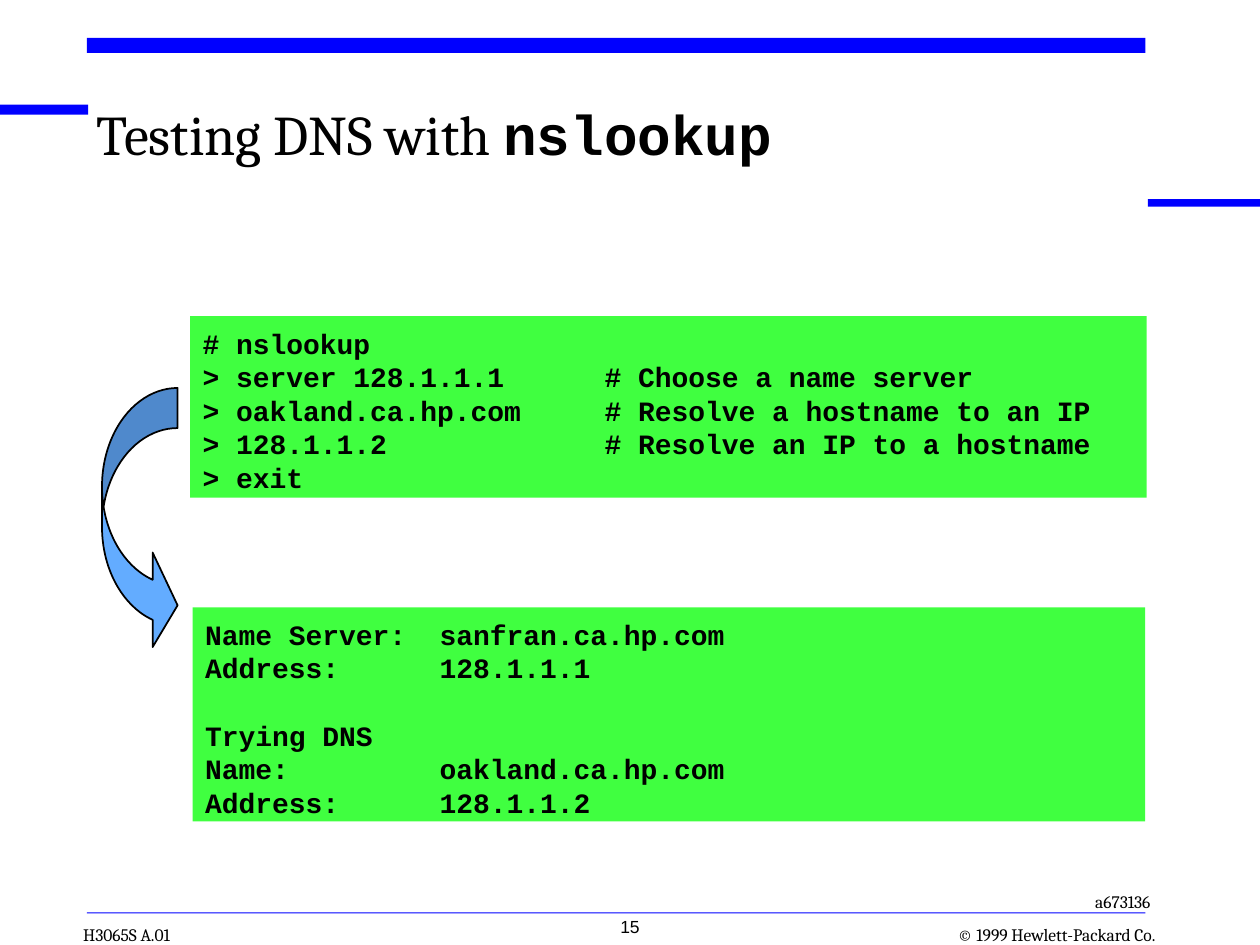
import pptx
import pptx.util
import pptx.dml.color
import pptx.enum.shapes
import pptx.enum.text

Inches, Pt = pptx.util.Inches, pptx.util.Pt
KINDS = pptx.enum.shapes.MSO_SHAPE
ALIGN = pptx.enum.text.PP_ALIGN
ANCHOR = pptx.enum.text.MSO_ANCHOR

BLUE, GREEN, SKY, BLACK = "0000FF", "40FF40", "63ACFF", "000000"
SERIF = {"name": "Cambria", "size": Pt(10)}
SANS = {"name": "Arial", "size": Pt(10)}
HEAD = {"name": "Cambria", "size": Pt(32)}
CODE = {"name": "Courier New", "size": Pt(16), "bold": True}
LINE = Pt(19.2)

BARS = [(0, 0.83, 0.7, 0.08), (0.69, 0.3, 8.4, 0.12),
        (9.11, 1.58, 0.89, 0.06), (0.69, 7.24, 8.4, 0.01)]

TITLE = [("Testing DNS with ", HEAD),
         ("nslookup", {**HEAD, "name": "Courier New", "bold": True})]

# text, place, font, alignment, anchor
NOTES = [
    ("© 1999 Hewlett-Packard Co.", (7.35, 7.33, 1.82, 0.17), SERIF, ALIGN.RIGHT, ANCHOR.BOTTOM),
    ("H3065S A.01", (0.66, 7.33, 0.82, 0.17), SERIF, ALIGN.LEFT, ANCHOR.BOTTOM),
    ("a673136", (8.38, 7.07, 0.75, 0.17), SERIF, ALIGN.RIGHT, ANCHOR.TOP),
    ("15", (3.96, 7.27, 2.08, 0.23), SANS, ALIGN.CENTER, ANCHOR.TOP),
]

# place, width of the first column in characters, groups of lines
PANELS = [
    ((1.53, 4.82, 7.56, 1.7), 14, [
        [("Name Server:", "sanfran.ca.hp.com"), ("Address:", "128.1.1.1")],
        [("Trying DNS", ""), ("Name:", "oakland.ca.hp.com"), ("Address:", "128.1.1.2")],
    ]),
    ((1.51, 2.51, 7.59, 1.44), 24, [
        [("# nslookup", ""),
         ("> server 128.1.1.1", "# Choose a name server"),
         ("> oakland.ca.hp.com", "# Resolve a hostname to an IP"),
         ("> 128.1.1.2", "# Resolve an IP to a hostname"),
         ("> exit", "")],
    ]),
]


def color(code):
    return pptx.dml.color.RGBColor.from_string(code)


def shape(slide, kind, place, fill, line=None):
    item = slide.shapes.add_shape(kind, *map(Inches, place))
    item.shadow.inherit = False
    item.fill.solid()
    item.fill.fore_color.rgb = color(fill)
    if line:
        item.line.color.rgb = color(line)
        item.line.width = Pt(1)
    else:
        item.line.fill.background()
    return item


def frame(item, pads=(0, 0), wrap=True, anchor=ANCHOR.TOP):
    """Set insets (side, top), wrapping and anchor; return the text frame."""
    side, top = map(Inches, pads)
    body = item.text_frame
    for key, value in {"margin_left": side, "margin_right": side, "margin_top": top,
                       "margin_bottom": 0, "word_wrap": wrap,
                       "vertical_anchor": anchor}.items():
        setattr(body, key, value)
    return body


def write(para, text, font):
    run = para.add_run()
    run.text = text
    for key, value in font.items():
        setattr(run.font, key, value)
    run.font.color.rgb = color(BLACK)


def panel(slide, place, width, groups):
    body = frame(shape(slide, KINDS.RECTANGLE, place, GREEN), (0.1, 0.08))
    para = None
    for group in groups:
        for row, (left, right) in enumerate(group):
            gap = para is not None and row == 0
            para = body.add_paragraph() if para is not None else body.paragraphs[0]
            para.alignment = ALIGN.LEFT
            para.line_spacing = LINE
            if gap:
                para.space_before = LINE
            write(para, (left.ljust(width) + right).rstrip(), CODE)


def main():
    deck = pptx.Presentation()
    deck.slide_width, deck.slide_height = Inches(10), Inches(7.5)
    slide = deck.slides.add_slide(deck.slide_layouts[6])

    for place in BARS:
        shape(slide, KINDS.RECTANGLE, place, BLUE)

    box = slide.shapes.add_textbox(*map(Inches, (0.77, 0.87, 8.07, 0.67)))
    para = frame(box).paragraphs[0]
    para.line_spacing = 0.85
    for text, font in TITLE:
        write(para, text, font)

    for text, place, font, align, anchor in NOTES:
        box = slide.shapes.add_textbox(*map(Inches, place))
        para = frame(box, wrap=False, anchor=anchor).paragraphs[0]
        para.alignment = align
        write(para, text, font)

    for place, width, groups in PANELS:
        panel(slide, place, width, groups)

    arrow = shape(slide, KINDS.CURVED_RIGHT_ARROW, (0.81, 3.08, 0.6, 2.1), SKY, BLACK)
    for index, value in enumerate((0.53, 1.25, 0.33)):
        arrow.adjustments[index] = value

    deck.save("out.pptx")


if __name__ == "__main__":
    main()
